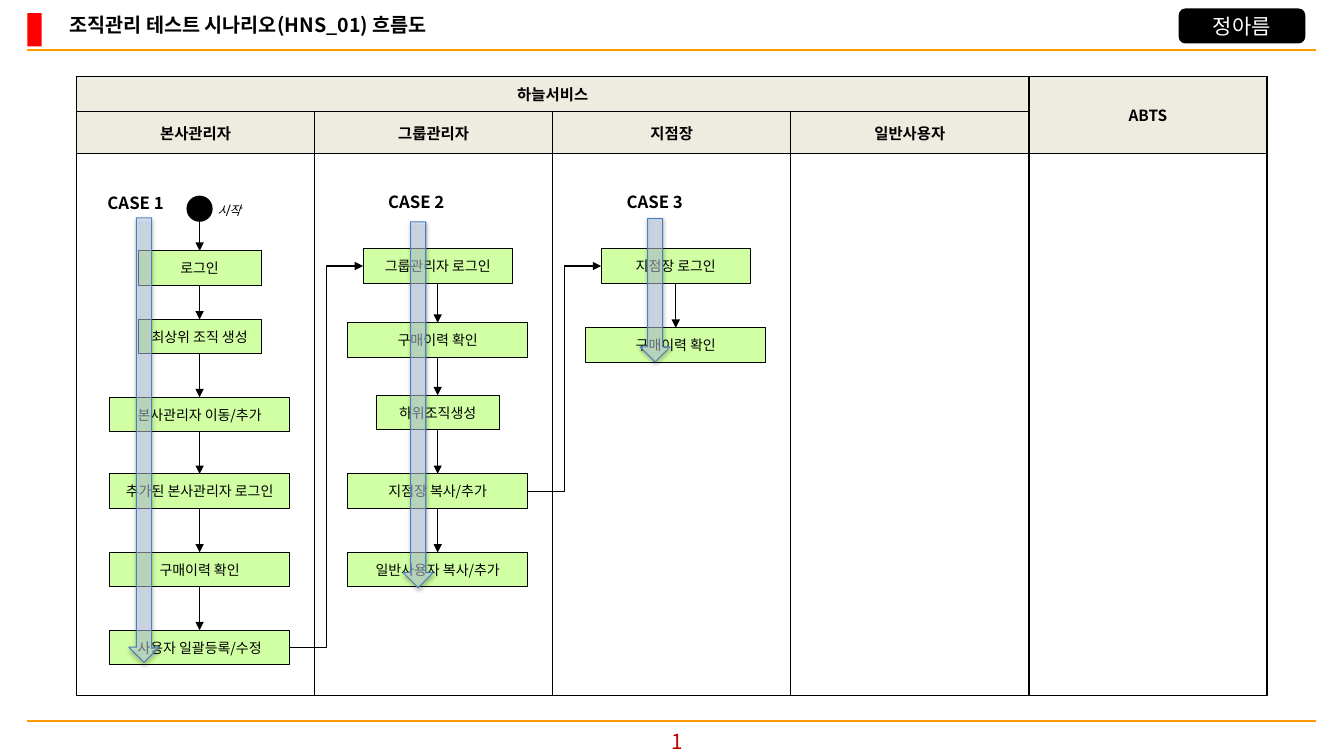
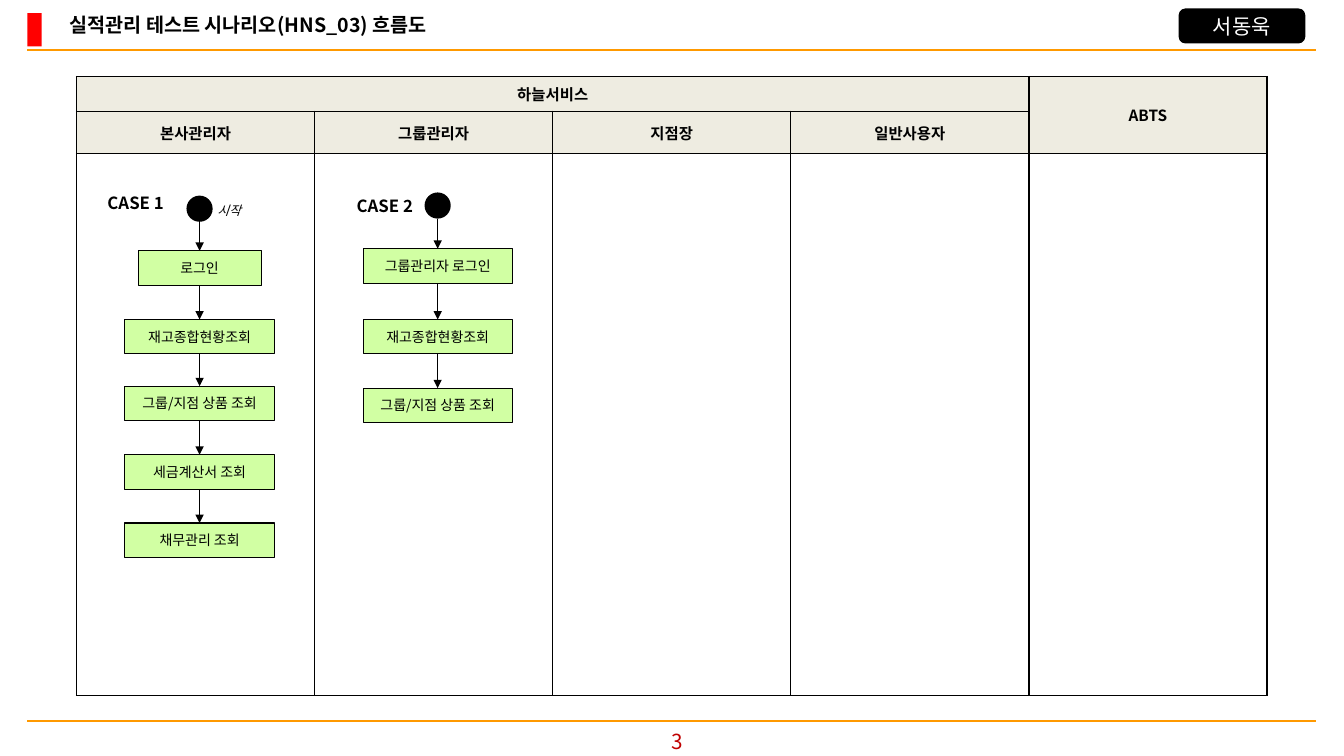
from dataclasses import dataclass, field

from lxml.etree import SubElement
from pptx import Presentation
from pptx.dml.color import RGBColor
from pptx.enum.shapes import MSO_CONNECTOR as LINK, MSO_SHAPE as SHAPE
from pptx.enum.text import MSO_ANCHOR as ANCHOR, PP_ALIGN as ALIGN
from pptx.oxml import parse_xml
from pptx.oxml.ns import nsdecls, qn
from pptx.util import Cm, Pt


@dataclass(frozen=True)
class Theme:
    font: str = "Noto Sans CJK KR"
    black: str = "000000"
    rule: str = "FF9900"
    mark: str = "FF0000"
    header: str = "EEECE1"
    body: str = "FFFFFF"
    step: str = "D1FFA3"
    flow: str = "C6D9F1"
    flow_edge: str = "4B7EBC"
    thin: float = 0.75
    # role: size, colour, bold, italic
    roles: dict = field(default_factory=lambda: {
        "title": (14, "000000", True, False),
        "author": (15, "FFFFFF", False, False),
        "page": (14.8, "C00000", False, False),
        "header": (11, "000000", True, False),
        "case": (12, "000000", True, False),
        "start": (9, "000000", False, True),
        "step": (10, "000000", False, False),
    })


theme = Theme()

# Swimlane grid and step sizes, in cm
TABLE_LEFT, TABLE_TOP, LANE_WIDTH = 1.93, 1.93, 6
ROW_HEIGHTS = (0.87, 1.07, 13.66)
LANES = ("본사관리자", "그룹관리자", "지점장", "일반사용자")
FIRST_CENTER = 5.03
STEP_HEIGHT, DOT_SIZE, FLOW_WIDTH = 0.87, 0.66, 0.76
SMALL, MEDIUM, WIDE = 3.1, 3.76, 4.55

# steps: text, width, top; label: left, top; flow: left, top, height
# handoffs: lane and step that lead to the first step of the next lane
pages = [
    {
        "title": "조직관리 테스트 시나리오(HNS_01) 흐름도",
        "author": "정아름", "number": "1", "handoffs": [(0, 5), (1, 3)],
        "cases": [
            {"label": (2.46, 4.72), "dot": 4.93, "flow": (3.25, 5.49, 11.2),
             "steps": [("로그인", SMALL, 6.32),
                       ("최상위 조직 생성", SMALL, 8.05),
                       ("본사관리자 이동/추가", WIDE, 10.01),
                       ("추가된 본사관리자 로그인", WIDE, 11.94),
                       ("구매이력 확인", WIDE, 13.92),
                       ("사용자 일괄등록/수정", WIDE, 15.88)]},
            {"label": (9.53, 4.7), "flow": (10.16, 5.59, 9.22),
             "steps": [("그룹관리자 로그인", MEDIUM, 6.27),
                       ("구매이력 확인", WIDE, 8.13),
                       ("하위조직생성", SMALL, 9.96),
                       ("지점장 복사/추가", WIDE, 11.94),
                       ("일반사용자 복사/추가", WIDE, 13.92)]},
            {"label": (15.54, 4.7), "flow": (16.13, 5.51, 3.61),
             "steps": [("지점장 로그인", MEDIUM, 6.27),
                       ("구매이력 확인", WIDE, 8.26)]},
        ],
    },
    {
        "title": "실적관리 테스트 시나리오(HNS_03) 흐름도",
        "author": "서동욱", "number": "3", "handoffs": [],
        "cases": [
            {"label": (2.46, 4.72), "dot": 4.93,
             "steps": [("로그인", SMALL, 6.32),
                       ("재고종합현황조회", MEDIUM, 8.05),
                       ("그룹/지점 상품 조회", MEDIUM, 9.73),
                       ("세금계산서 조회", MEDIUM, 11.46),
                       ("채무관리 조회", MEDIUM, 13.18)]},
            {"label": (8.74, 4.8), "dot": 4.85,
             "steps": [("그룹관리자 로그인", MEDIUM, 6.27),
                       ("재고종합현황조회", MEDIUM, 8.05),
                       ("그룹/지점 상품 조회", MEDIUM, 9.78)]},
        ],
    },
]


def write(frame, text, role, align=ALIGN.CENTER, wrap=True):
    size, color, bold, italic = theme.roles[role]
    frame.word_wrap = wrap
    paragraph = frame.paragraphs[0]
    paragraph.alignment = align
    run = paragraph.add_run()
    run.text = text
    run.font.size, run.font.bold, run.font.italic = Pt(size), bold, italic
    run.font.color.rgb = RGBColor.from_string(color)
    run.font.name = theme.font
    SubElement(run.font._element, qn("a:ea"), typeface=theme.font)


def draw(slide, preset, box, fill, edge=None, width=theme.thin):
    shape = slide.shapes.add_shape(preset, *map(Cm, box))
    shape.shadow.inherit = False
    shape.fill.solid()
    shape.fill.fore_color.rgb = RGBColor.from_string(fill)
    if edge:
        shape.line.color.rgb = RGBColor.from_string(edge)
        shape.line.width = Pt(width)
    else:
        shape.line.fill.background()
    return shape


deck = Presentation()
deck.slide_width, deck.slide_height = Cm(33.87), Cm(19.05)

for page in pages:
    slide = deck.slides.add_slide(deck.slide_layouts[6])
    shapes = slide.shapes

    # Title band, author tag and page number
    rules = [shapes.add_connector(LINK.STRAIGHT, Cm(0.69), Cm(y), Cm(33.17), Cm(y))
             for y in (1.27, 18.16)]
    draw(slide, SHAPE.RECTANGLE, (0.69, 0.33, 0.36, 0.84), theme.mark)
    title = shapes.add_textbox(Cm(1.5), Cm(0.2), Cm(11.71), Cm(0.86))
    write(title.text_frame, page["title"], "title", ALIGN.LEFT)
    author = draw(slide, SHAPE.ROUNDED_RECTANGLE, (29.74, 0.25, 3.12, 0.81),
                  theme.black, theme.black, 2)
    author.text_frame.vertical_anchor = ANCHOR.MIDDLE
    write(author.text_frame, page["author"], "author")
    number = shapes.add_textbox(Cm(15.75), Cm(18.25), Cm(2.62), Cm(0.94))
    write(number.text_frame, page["number"], "page")

    # Swimlane table
    lane_count = len(LANES) + 1
    lanes = shapes.add_table(len(ROW_HEIGHTS), lane_count, Cm(TABLE_LEFT), Cm(TABLE_TOP),
                             Cm(LANE_WIDTH * lane_count), Cm(sum(ROW_HEIGHTS))).table
    for column in lanes.columns:
        column.width = Cm(LANE_WIDTH)
    for row, height in zip(lanes.rows, ROW_HEIGHTS):
        row.height = Cm(height)
    for r in range(len(ROW_HEIGHTS)):
        for c in range(lane_count):
            cell = lanes.cell(r, c)
            cell.vertical_anchor = ANCHOR.MIDDLE
            cell.fill.solid()
            cell.fill.fore_color.rgb = RGBColor.from_string(
                theme.header if r < 2 else theme.body)
            for i, side in enumerate("LRTB"):
                cell._tc.get_or_add_tcPr().insert(i, parse_xml(
                    f'<a:ln{side} {nsdecls("a")} w="12700"><a:solidFill>'
                    f'<a:srgbClr val="{theme.black}"/></a:solidFill></a:ln{side}>'))
    lanes.cell(0, 0).merge(lanes.cell(0, 3))
    lanes.cell(0, 4).merge(lanes.cell(1, 4))
    headers = [(0, 0, "하늘서비스"), (0, 4, "ABTS")]
    headers += [(1, c, lane) for c, lane in enumerate(LANES)]
    for r, c, text in headers:
        write(lanes.cell(r, c).text_frame, text, "header")

    # Cases: label, start dot, steps and the links between them
    links, steps_by_lane = [], []
    for lane, case in enumerate(page["cases"]):
        center = FIRST_CENTER + lane * LANE_WIDTH
        label = shapes.add_textbox(*map(Cm, case["label"]), Cm(2.01), Cm(0.76))
        write(label.text_frame, f"CASE {lane + 1}", "case", ALIGN.LEFT)

        steps = []
        for text, width, top in case["steps"]:
            step = draw(slide, SHAPE.RECTANGLE,
                        (center - width / 2, top, width, STEP_HEIGHT),
                        theme.step, theme.black)
            step.text_frame.vertical_anchor = ANCHOR.MIDDLE
            write(step.text_frame, text, "step", wrap=False)
            steps.append(step)
        steps_by_lane.append(steps)

        if "dot" in case:
            draw(slide, SHAPE.FLOWCHART_CONNECTOR,
                 (center - DOT_SIZE / 2, case["dot"], DOT_SIZE, DOT_SIZE), theme.black)
            link = shapes.add_connector(LINK.STRAIGHT, Cm(center),
                                        Cm(case["dot"] + DOT_SIZE), Cm(center), steps[0].top)
            link.end_connect(steps[0], 0)
            links.append(link)
        for upper, lower in zip(steps, steps[1:]):
            link = shapes.add_connector(LINK.STRAIGHT, 0, 0, 0, 0)
            link.begin_connect(upper, 2)
            link.end_connect(lower, 0)
            links.append(link)

    start = shapes.add_textbox(Cm(5.23), Cm(4.98), Cm(1.19), Cm(0.64))
    write(start.text_frame, "시작", "start", ALIGN.LEFT)

    # Handoffs to the next lane
    for lane, index in page["handoffs"]:
        link = shapes.add_connector(LINK.ELBOW, 0, 0, 0, 0)
        link.begin_connect(steps_by_lane[lane][index], 3)
        link.end_connect(steps_by_lane[lane + 1][0], 1)
        links.append(link)

    # Line colours, widths and arrowheads
    for line in rules + links:
        is_link = line in links
        line.line.color.rgb = RGBColor.from_string(theme.black if is_link else theme.rule)
        line.line.width = Pt(theme.thin if is_link else 1.5)
        if is_link:
            SubElement(line.line._get_or_add_ln(), qn("a:tailEnd"), type="triangle")
        SubElement(line._element.spPr, qn("a:effectLst"))

    # Translucent flow arrows over the steps
    for case in page["cases"]:
        if "flow" not in case:
            continue
        left, top, height = case["flow"]
        flow = draw(slide, SHAPE.DOWN_ARROW, (left, top, FLOW_WIDTH, height),
                    theme.flow, theme.flow_edge)
        properties = flow._element.spPr
        tint = properties.find(qn("a:solidFill")).find(qn("a:srgbClr"))
        SubElement(tint, qn("a:alpha"), val="50000")
        shadow = SubElement(properties.find(qn("a:effectLst")), qn("a:outerShdw"),
                            blurRad=str(Pt(3.1)), dist=str(Pt(1.6)), dir="5400000",
                            rotWithShape="0")
        shade = SubElement(shadow, qn("a:srgbClr"), val=theme.black)
        SubElement(shade, qn("a:alpha"), val="38000")

deck.save("out.pptx")
